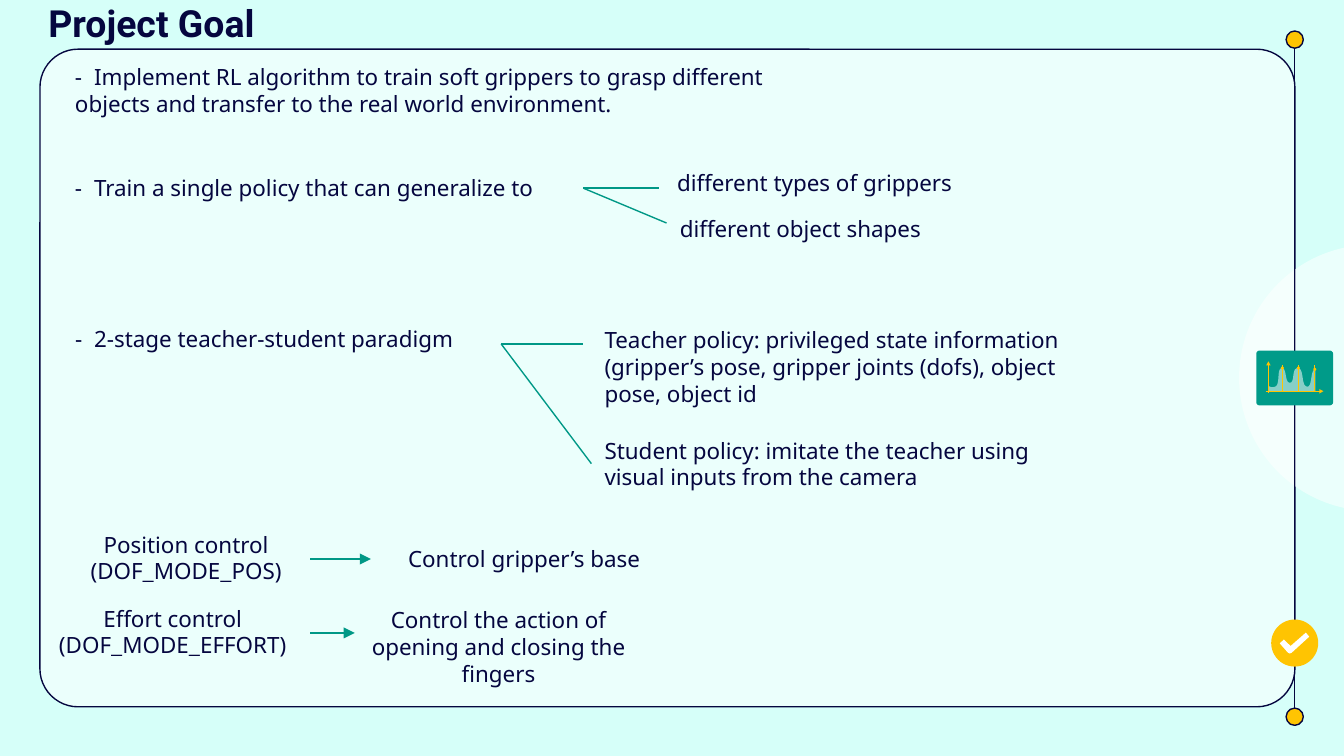
from lxml.etree import SubElement
from pptx import Presentation
from pptx.dml.color import RGBColor
from pptx.enum.shapes import MSO_CONNECTOR as Connector, MSO_SHAPE as Preset
from pptx.enum.text import MSO_ANCHOR as Anchor, PP_ALIGN as Align
from pptx.oxml.ns import qn
from pptx.util import Pt

NAVY, TEAL, YELLOW, WHITE, MINT = "05063F", "009886", "FFC402", "FFFFFF", "D6FFF9"
CARD_TEAL = "009B89"


def paint(fill, color):
    fill.solid()
    fill.fore_color.rgb = RGBColor.from_string(color)


def style_shape(shape, color, outline=None, alpha=None):
    shape.shadow.inherit = False
    paint(shape.fill, color)
    if alpha:
        fill_color = shape.element.spPr.find(".//" + qn("a:srgbClr"))
        SubElement(fill_color, qn("a:alpha"), val=str(alpha * 1000))
    if outline:
        paint(shape.line.fill, outline)
        shape.line.width = Pt(0.75)
    else:
        shape.line.fill.background()
    return shape


def add_preset(slide, preset, box, color, outline=None, alpha=None):
    shape = slide.shapes.add_shape(preset, *map(Pt, box))
    return style_shape(shape, color, outline, alpha)


def add_outline(slide, left, top, points, color, alpha=None):
    vertices = [((left + x) * 100, (top + y) * 100) for x, y in points]
    builder = slide.shapes.build_freeform(*vertices[0], scale=127)
    builder.add_line_segments(vertices[1:], close=True)
    return style_shape(builder.convert_to_shape(), color, alpha=alpha)


def add_line(slide, start, end, color=TEAL, width=0.75, arrow=False):
    line = slide.shapes.add_connector(Connector.STRAIGHT, *map(Pt, (*start, *end)))
    paint(line.line.fill, color)
    line.line.width = Pt(width)
    if arrow:
        SubElement(line.line._get_or_add_ln(), qn("a:tailEnd"), type="triangle")
    SubElement(line.element.spPr, qn("a:effectLst"))


def format_font(font, name, size):
    font.name = name
    font.size = Pt(size)
    paint(font.fill, NAVY)


def add_text(slide, box, text, align=Align.LEFT, dash=False):
    frame = slide.shapes.add_textbox(*map(Pt, box)).text_frame
    frame.word_wrap = True
    paragraph = frame.paragraphs[0]
    paragraph.alignment = align
    if dash:
        stops = SubElement(paragraph._p.get_or_add_pPr(), qn("a:tabLst"))
        SubElement(stops, qn("a:tab"), pos=str(Pt(10.2)), algn="l")
        text = "-\t" + text
    for index, piece in enumerate(text.split("_")):
        if index:
            underscore = paragraph.add_run()
            underscore.text = "_"
            format_font(underscore.font, "Calibri", 12)
        run = paragraph.add_run()
        run.text = piece
        format_font(run.font, "Noto Sans", 12)


def sample_curve(start, segments, steps=10):
    points = [start]
    for first, second, end in segments:
        begin = points[-1]
        for step in range(1, steps + 1):
            t = step / steps
            weights = ((1 - t) ** 3, 3 * t * (1 - t) ** 2, 3 * t * t * (1 - t), t ** 3)
            corners = (begin, first, second, end)
            points.append(tuple(
                sum(w * corner[axis] for w, corner in zip(weights, corners))
                for axis in (0, 1)))
    return points


def add_panel(slide, box):
    panel = add_preset(slide, Preset.ROUNDED_RECTANGLE, box, WHITE, NAVY, alpha=53)
    panel.adjustments[0] = 0.058


def add_rail(slide, left, top, width, height):
    middle = left + width / 2
    add_preset(slide, Preset.OVAL, (left - 25.2, top + 114.5, 142.6, 142.6), WHITE, alpha=53)
    for dot_top in (top, top + height - width):
        add_preset(slide, Preset.OVAL, (left, dot_top, width, width), YELLOW, NAVY)
    add_line(slide, (middle, top + width), (middle, top + height - width), NAVY)


def add_chart_card(slide, left, top, width, height):
    card = add_preset(slide, Preset.ROUNDED_RECTANGLE, (left, top, width, height), CARD_TEAL)
    card.adjustments[0] = 0.06
    wave = sample_curve((6.5, 18.7), [
        ((6.5, 18.7), (7.2, 20.2), (10.1, 19.4)),
        ((13, 18.7), (10.8, 9.4), (13.7, 9.4)),
        ((16.6, 9.4), (15.1, 17.3), (18, 17.3)),
        ((20.9, 17.3), (18.7, 9.4), (22.3, 9.4)),
        ((25.9, 9.4), (23.8, 19.4), (27.4, 19.4)),
        ((30.2, 19.4), (28.8, 10.1), (31.7, 10.1)),
    ])
    add_outline(slide, left, top, wave + [(31.7, 21.6), (6.5, 21.6)], WHITE, alpha=53)
    for x, y in ((14, 9.4), (22.6, 9.4), (31.4, 10.1)):
        add_line(slide, (left + x, top + 8), (left + x, top + 22), YELLOW, 0.5)
        add_preset(slide, Preset.OVAL, (left + x - 0.8, top + y - 0.8, 1.6, 1.6), YELLOW)
    add_line(slide, (left + 6.5, top + 7.5), (left + 6.5, top + 23), YELLOW, 0.5)
    add_line(slide, (left + 5, top + 21.8), (left + 34, top + 21.8), YELLOW, 0.5)
    add_outline(slide, left, top, [(5.3, 8), (6.5, 5.8), (7.7, 8)], YELLOW)
    add_outline(slide, left, top, [(33.8, 20.6), (36, 21.8), (33.8, 23)], YELLOW)


def add_check_badge(slide, left, top, size):
    add_preset(slide, Preset.OVAL, (left, top, size, size), YELLOW)
    check = [(4.6, 12.8), (6.8, 10.7), (10.4, 14.2), (18.6, 7),
             (20.4, 9.2), (11, 17.8), (10, 18.2), (9, 17.8)]
    add_outline(slide, left, top, check, WHITE)


def set_title(slide, box, text):
    title = slide.shapes.title
    title.left, title.top, title.width, title.height = map(Pt, box)
    frame = title.text_frame
    frame.text = text
    frame.word_wrap = True
    frame.vertical_anchor = Anchor.MIDDLE
    frame.margin_left = frame.margin_right = Pt(7.2)
    frame.margin_top = frame.margin_bottom = Pt(7.2)
    paragraph = frame.paragraphs[0]
    paragraph.alignment = Align.LEFT
    font = paragraph.runs[0].font
    format_font(font, "Roboto", 20)
    font.bold = True
    title.element.getparent().append(title.element)


def add_branching_goal(slide, left, top, width, text, fork, branches):
    add_text(slide, (left, top, width, 21.6), text, dash=True)
    start = (left + fork[0], top + fork[1])
    for (tip_x, tip_y), (x, y, branch_width, branch_height), branch_text in branches:
        add_line(slide, start, (left + tip_x, top + tip_y))
        add_text(slide, (left + x, top + y, branch_width, branch_height), branch_text)


def add_control_row(slide, top, mode_box, mode, arrow, effect_box, effect):
    for (left, offset, width, height), text in ((mode_box, mode), (effect_box, effect)):
        add_text(slide, (left, top + offset, width, height), text, Align.CENTER)
    start, end = arrow
    add_line(slide, (start, top + 18.7), (end, top + 18.7), arrow=True)


def main():
    presentation = Presentation()
    presentation.slide_width, presentation.slide_height = Pt(720), Pt(405)
    slide = presentation.slides.add_slide(presentation.slide_layouts[5])
    paint(slide.background.fill, MINT)

    add_panel(slide, (21.4, 26.4, 672.3, 352.3))
    add_rail(slide, 689, 16.6, 9.2, 372)
    add_chart_card(slide, 673, 187.8, 41.2, 29.4)
    add_check_badge(slide, 681, 331.9, 25.2)
    set_title(slide, (18.7, -6.5, 129.6, 37.4), "Project Goal")

    add_text(slide, (33.1, 30.2, 393.8, 36),
             "Implement RL algorithm to train soft grippers to grasp different "
             "objects and transfer to the real world environment.", dash=True)
    add_branching_goal(
        slide, 33.1, 90, 293, "Train a single policy that can generalize to", (279.4, 10.8),
        [((319.7, 10.8), (322.6, -2.9, 175, 21.6), "different types of grippers"),
         ((324, 29.5), (324, 21.6, 157, 21.6), "different object shapes")])
    add_branching_goal(
        slide, 33.1, 170.6, 236.9, "2-stage teacher-student paradigm", (235.4, 13.7),
        [((279.4, 13.7), (283.7, 0.7, 277.9, 51.1),
          "Teacher policy: privileged state information (gripper’s pose, "
          "gripper joints (dofs), object pose, object id"),
         ((283.7, 77.8), (283.7, 59.8, 259.9, 51.1),
          "Student policy: imitate the teacher using visual inputs from the camera")])
    add_control_row(slide, 280.8, (33.1, 0, 133.2, 36), "Position control (DOF_MODE_POS)",
                    (166.3, 198.7), (198.7, 7.9, 164.2, 21.6), "Control gripper’s base")
    add_control_row(slide, 320.4, (18.7, 0, 147.6, 36), "Effort control (DOF_MODE_EFFORT)",
                    (166.3, 190.1), (185, 0.7, 164.2, 51.1),
                    "Control the action of opening and closing the fingers")

    presentation.save("out.pptx")


if __name__ == "__main__":
    main()
